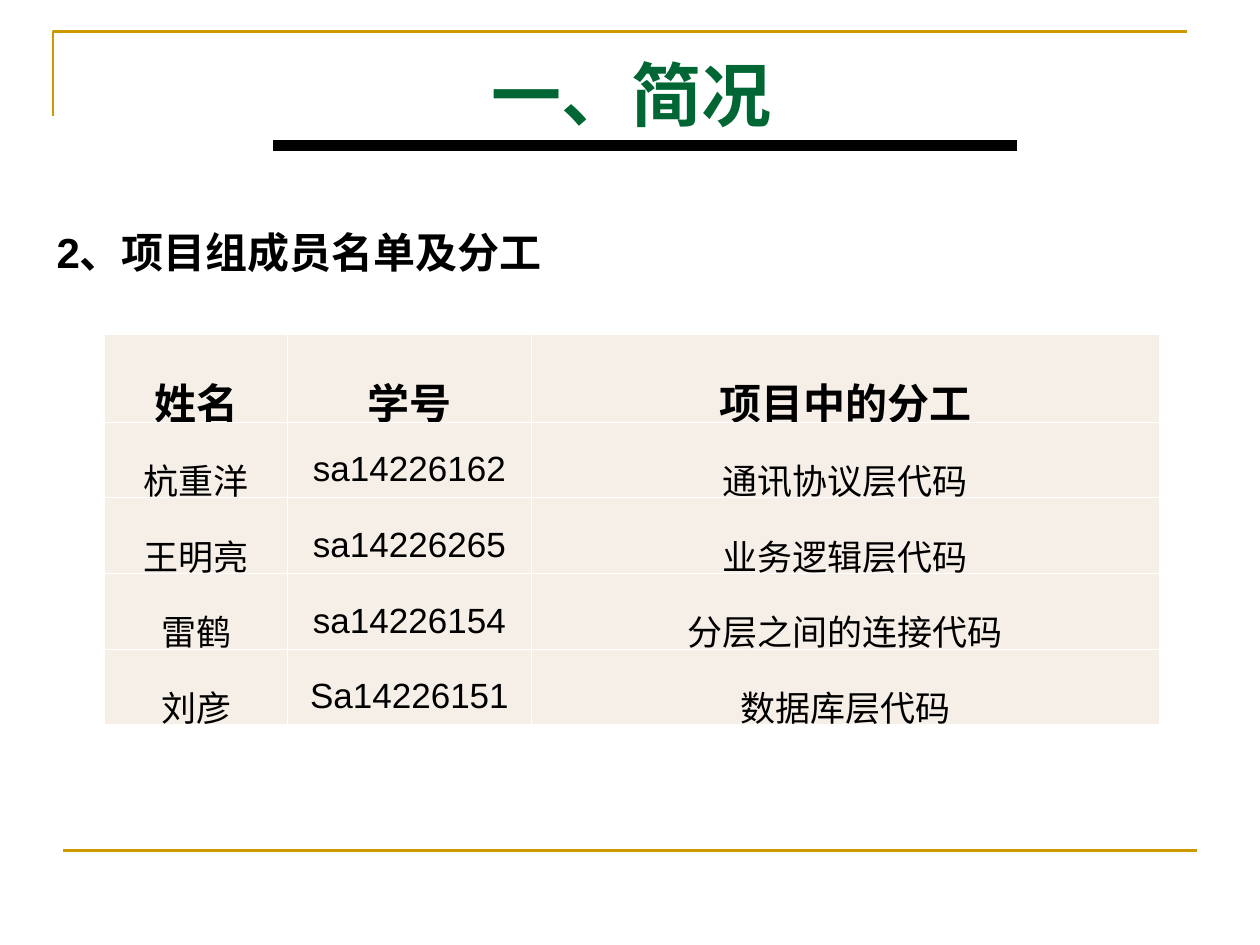
import pptx
import pptx.util
import pptx.dml.color
import pptx.enum.shapes
import pptx.enum.text
import pptx.oxml
import pptx.oxml.ns
from pptx.util import Cm

CENTER = pptx.enum.text.PP_ALIGN.CENTER
GOLD, BLACK, GREEN, CREAM, WHITE = "CC9900", "000000", "006633", "F6EFE7", "FFFFFF"

HEADING = "一、简况"
SUBHEADING = "2、项目组成员名单及分工"
MEMBERS = [
    ("姓名", "学号", "项目中的分工"),
    ("杭重洋", "sa14226162", "通讯协议层代码"),
    ("王明亮", "sa14226265", "业务逻辑层代码"),
    ("雷鹤", "sa14226154", "分层之间的连接代码"),
    ("刘彦", "Sa14226151", "数据库层代码"),
]
COLUMN_WIDTHS = (3.69, 4.91, 12.66)
ROW_HEIGHTS = (1.52,) + (1.27,) * (len(MEMBERS) - 1)

CORNER = [(1.07, 2.34), (1.07, 0.64), (23.93, 0.64)]
RULES = [
    ((1.27, 17.15), (23.13 + 1, 17.15), GOLD, 1.5),
    ((5.5, 2.93), (20.5, 2.93), BLACK, 6),
]

HEADING_FONT = {"size": 40, "name": "Times New Roman", "bold": True, "color": GREEN}
LABEL_FONT = {"size": 24, "name": "Arial", "bold": True, "color": BLACK}
MEMBER_FONT = {"size": 20, "name": "Arial", "bold": False, "color": BLACK}


def rgb(value):
    return pptx.dml.color.RGBColor.from_string(value)


def write(frame, words, font, **layout):
    paragraph = frame.paragraphs[0]
    for name, value in layout.items():
        setattr(paragraph, name, value)
    run = paragraph.add_run()
    run.text = words
    for name, value in font.items():
        if name == "color":
            run.font.color.rgb = rgb(value)
        else:
            setattr(run.font, name, pptx.util.Pt(value) if name == "size" else value)


def add_words(slide, place, words, font, **layout):
    frame = slide.shapes.add_textbox(*map(Cm, place)).text_frame
    frame.word_wrap = True
    write(frame, words, font, **layout)


def style_line(line, color, width):
    line.color.rgb = rgb(color)
    line.width = pptx.util.Pt(width)


def add_corner(slide):
    builder = slide.shapes.build_freeform(*map(Cm, CORNER[0]))
    builder.add_line_segments([(Cm(x), Cm(y)) for x, y in CORNER[1:]], close=False)
    corner = builder.convert_to_shape()
    corner.shadow.inherit = False
    corner.fill.background()
    style_line(corner.line, GOLD, 1.5)


def add_rule(slide, start, end, color, width):
    rule = slide.shapes.add_connector(
        pptx.enum.shapes.MSO_CONNECTOR.STRAIGHT, *map(Cm, start + end))
    style_line(rule.line, color, width)
    rule._element.spPr.append(pptx.oxml.parse_xml(
        f'<a:effectLst {pptx.oxml.ns.nsdecls("a")}/>'))


def add_borders(cell, color, width):
    properties = cell._tc.get_or_add_tcPr()
    for position, side in enumerate(("lnL", "lnR", "lnT", "lnB")):
        properties.insert(position, pptx.oxml.parse_xml(
            f'<a:{side} {pptx.oxml.ns.nsdecls("a")} w="{pptx.util.Pt(width)}">'
            f'<a:solidFill><a:srgbClr val="{color}"/></a:solidFill></a:{side}>'))


def add_members(slide):
    members = slide.shapes.add_table(
        len(MEMBERS), len(COLUMN_WIDTHS), Cm(2.11), Cm(6.73),
        Cm(sum(COLUMN_WIDTHS)), Cm(sum(ROW_HEIGHTS))).table
    for column, width in zip(members.columns, COLUMN_WIDTHS):
        column.width = Cm(width)
    for index, (row, height) in enumerate(zip(members.rows, ROW_HEIGHTS)):
        row.height = Cm(height)
        for cell, words in zip(row.cells, MEMBERS[index]):
            cell.vertical_anchor = pptx.enum.text.MSO_ANCHOR.MIDDLE
            cell.fill.solid()
            cell.fill.fore_color.rgb = rgb(CREAM)
            add_borders(cell, WHITE, 0.45)
            write(cell.text_frame, words, MEMBER_FONT if index else LABEL_FONT,
                  alignment=CENTER, line_spacing=1.5)


def main():
    deck = pptx.Presentation()
    deck.slide_width, deck.slide_height = Cm(25.4), Cm(19.05)
    slide = deck.slides.add_slide(deck.slide_layouts[6])
    add_corner(slide)
    for rule in RULES:
        add_rule(slide, *rule)
    add_words(slide, (1.3, 0.91, 22.86, 3.18), HEADING, HEADING_FONT, alignment=CENTER)
    add_words(slide, (0.89, 3.94, 24.51, 1.78), SUBHEADING, LABEL_FONT, line_spacing=1.5)
    add_members(slide)
    deck.save("out.pptx")


if __name__ == "__main__":
    main()
